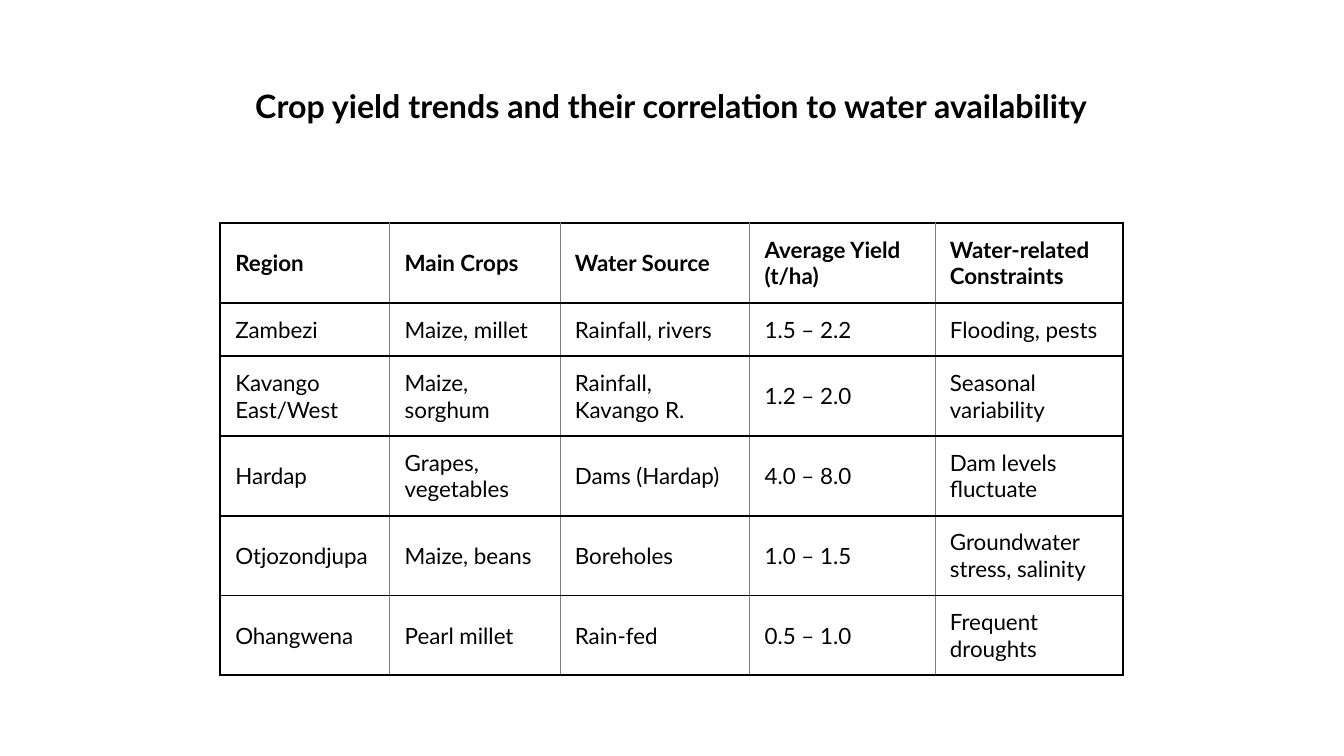
from lxml import etree
from pptx import Presentation, util as u
from pptx.dml.color import RGBColor
from pptx.enum import text
from pptx.oxml.ns import qn

BLACK, GREY, WHITE = "000000", "808080", "FFFFFF"
TITLE = "Crop yield trends and their correlation to water availability"
ROWS = [
    ["Region", "Main Crops", "Water Source", "Average Yield (t/ha)", "Water-related Constraints"],
    ["Zambezi", "Maize, millet", "Rainfall, rivers", "1.5 – 2.2", "Flooding, pests"],
    ["Kavango East/West", "Maize, sorghum", "Rainfall, Kavango R.", "1.2 – 2.0", "Seasonal variability"],
    ["Hardap", "Grapes, vegetables", "Dams (Hardap)", "4.0 – 8.0", "Dam levels fluctuate"],
    ["Otjozondjupa", "Maize, beans", "Boreholes", "1.0 – 1.5", "Groundwater stress, salinity"],
    ["Ohangwena", "Pearl millet", "Rain-fed", "0.5 – 1.0", "Frequent droughts"],
]
COL_WIDTHS = [4.27, 4.29, 4.78, 4.67, 4.75]
ROW_HEIGHTS = [2.01, 1.35, 2.01, 2.01, 2.01, 2.01]


def rgb(value):
    return RGBColor.from_string(value)


def apply(obj, values):
    for name, value in values.items():
        setattr(obj, name, value)


class Deck:
    font = "Lato"
    cell_format = {
        "margin_left": u.Cm(0.38), "margin_right": u.Cm(0.3),
        "margin_top": u.Cm(0.28), "margin_bottom": u.Cm(0.28),
        "vertical_anchor": text.MSO_ANCHOR.MIDDLE,
    }

    def __init__(self, prs):
        self.s = prs.slides.add_slide(prs.slide_layouts[5])
        fill = self.s.background.fill
        fill.solid()
        fill.fore_color.rgb = rgb(WHITE)

    def add_text(self, p, words, size, bold, **para):
        apply(p, para)
        r = p.add_run()
        r.text = words
        apply(r.font, {"name": self.font, "size": u.Pt(size), "bold": bold})
        r.font.color.rgb = rgb(BLACK)

    def title(self, words, left, top, width, height):
        sp = self.s.shapes.title
        apply(sp, {"left": u.Cm(left), "top": u.Cm(top),
                   "width": u.Cm(width), "height": u.Cm(height)})
        tf = sp.text_frame
        apply(tf, {"word_wrap": True, "auto_size": text.MSO_AUTO_SIZE.NONE,
                   "vertical_anchor": text.MSO_ANCHOR.BOTTOM})
        self.add_text(tf.paragraphs[0], words, 23, True,
                      alignment=text.PP_ALIGN.CENTER, line_spacing=0.9)

    def border(self, cell, side, color, width):
        tc_pr = cell._tc.get_or_add_tcPr()
        ln = etree.SubElement(tc_pr, qn("a:ln" + side), w=str(u.Pt(width)))
        fill = etree.SubElement(ln, qn("a:solidFill"))
        etree.SubElement(fill, qn("a:srgbClr"), val=color)

    def table(self, rows, left, top, widths, heights):
        frame = self.s.shapes.add_table(
            len(rows), len(widths), u.Cm(left), u.Cm(top),
            u.Cm(sum(widths)), u.Cm(sum(heights)))
        table = frame.table
        apply(table, {"first_row": False, "horz_banding": False})
        for col, width in zip(table.columns, widths):
            col.width = u.Cm(width)
        outer, inner = (BLACK, 1.5), (GREY, 0.5)
        last = len(widths) - 1
        for i, row in enumerate(rows):
            table.rows[i].height = u.Cm(heights[i])
            for j, words in enumerate(row):
                cell = table.cell(i, j)
                apply(cell, self.cell_format)
                lines = {"L": outer if j == 0 else inner,
                         "R": outer if j == last else inner,
                         "T": outer, "B": outer}
                for side, line in lines.items():
                    self.border(cell, side, *line)
                cell.fill.background()
                self.add_text(cell.text_frame.paragraphs[0], words, 16, i == 0)


def main():
    prs = Presentation()
    apply(prs, {"slide_width": u.Cm(33.87), "slide_height": u.Cm(19.05)})
    deck = Deck(prs)
    deck.title(TITLE, 4.8, 1.4, 24.26, 1.9)
    deck.table(ROWS, 5.55, 5.62, COL_WIDTHS, ROW_HEIGHTS)
    prs.save("out.pptx")


if __name__ == "__main__":
    main()
